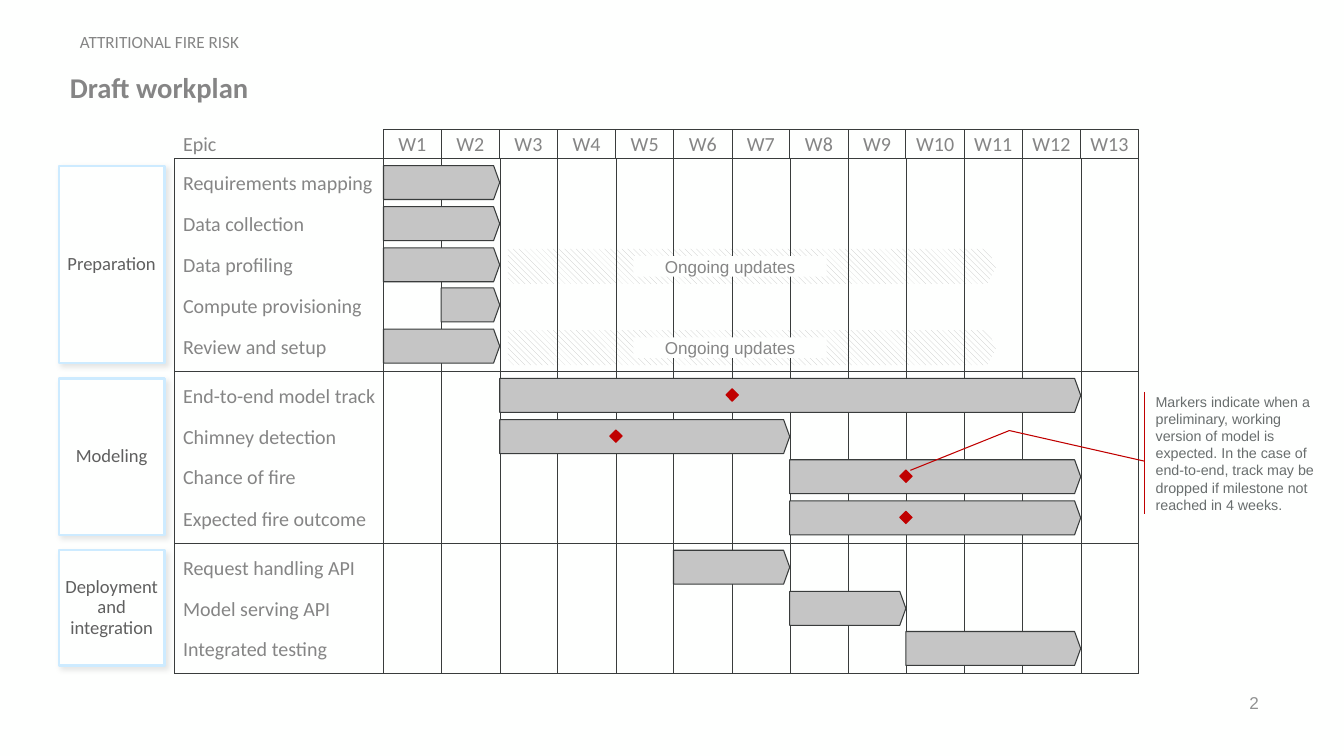
from pptx import Presentation
from pptx.dml.color import RGBColor
from pptx.enum.dml import MSO_PATTERN
from pptx.enum.shapes import MSO_CONNECTOR, MSO_SHAPE
from pptx.enum.text import MSO_ANCHOR, PP_ALIGN
from pptx.oxml.ns import qn
from pptx.util import Pt
from lxml.etree import SubElement

PX = 9144
COLORS = {"paper": "FEFFFE", "text": "858585", "phase": "5F5F5F", "note": "696E6E",
          "page": "919292", "grid": "393C3C", "bar": "C5C5C5", "mark": "C00000",
          "edge": "CDEBFF", "shadow": "000000"}
WEEKS = 13
BAR = 33
GAP = 7
# task, first week, last week, milestone week, has ongoing updates
PHASES = [
    ("Preparation", [
        ("Requirements mapping", 0, 2, None, False),
        ("Data collection", 0, 2, None, False),
        ("Data profiling", 0, 2, None, True),
        ("Compute provisioning", 1, 2, None, False),
        ("Review and setup", 0, 2, None, True)]),
    ("Modeling", [
        ("End-to-end model track", 2, 12, 6, False),
        ("Chimney detection", 2, 7, 4, False),
        ("Chance of fire", 7, 12, 9, False),
        ("Expected fire outcome", 7, 12, 9, False)]),
    ("Deployment and integration", [
        ("Request handling API", 5, 7, None, False),
        ("Model serving API", 7, 9, None, False),
        ("Integrated testing", 9, 12, None, False)]),
]
NOTE = ("Markers indicate when a preliminary, working version of model is expected. "
        "In the case of end-to-end, track may be dropped if milestone not reached in 4 weeks.")


def rgb(name):
    """Return the named colour."""
    return RGBColor.from_string(COLORS[name])


def emu(*lengths):
    """Turn px lengths into EMU."""
    return [v * PX for v in lengths]


def apply(obj, values):
    """Set each attribute in the dict on the object."""
    for name, value in values.items():
        setattr(obj, name, value)


def write(sp, text, size=14, color="text", font="Calibri", bold=False,
          align=PP_ALIGN.LEFT, anchor=MSO_ANCHOR.TOP, inset=(0, 0), spacing=1.0):
    """Put one formatted paragraph into a shape."""
    dx, dy = emu(*inset)
    tf = sp.text_frame
    apply(tf, {"word_wrap": True, "vertical_anchor": anchor, "margin_left": dx,
               "margin_right": dx, "margin_top": dy, "margin_bottom": dy})
    p = tf.paragraphs[0]
    apply(p, {"alignment": align, "line_spacing": spacing})
    r = p.add_run()
    r.text = text
    apply(r.font, {"size": Pt(size), "name": font, "bold": bold})
    r.font.color.rgb = rgb(color)


def add_text(s, box, text, **fmt):
    """Add a text box."""
    write(s.shapes.add_textbox(*emu(*box)), text, **fmt)


def add_shape(s, kind, box, fill=None, line=None, width=0.75, adj=()):
    """Add a flat preset shape."""
    sp = s.shapes.add_shape(kind, *emu(*box))
    sp.shadow.inherit = False
    if fill:
        sp.fill.solid()
        sp.fill.fore_color.rgb = rgb(fill)
    else:
        sp.fill.background()
    if line:
        sp.line.color.rgb = rgb(line)
        sp.line.width = Pt(width)
    else:
        sp.line.fill.background()
    for i, value in enumerate(adj):
        sp.adjustments[i] = value
    return sp


def add_line(s, x1, y1, x2, y2, width):
    """Add a grid line."""
    c = s.shapes.add_connector(MSO_CONNECTOR.STRAIGHT, *emu(x1, y1, x2, y2))
    c.line.color.rgb = rgb("grid")
    c.line.width = Pt(width)
    SubElement(c._element.spPr, qn("a:effectLst"))


def add_heading(s, box):
    """Place the title and the section name above it."""
    x, y, w, h = box
    title = s.shapes.title
    apply(title, dict(zip(("left", "top", "width", "height"), emu(x, y + 45, w, 34))))
    write(title, "Draft workplan", size=20, bold=True)
    add_text(s, (x, y, w, 35), "ATTRITIONAL FIRE RISK", size=12,
             anchor=MSO_ANCHOR.MIDDLE, inset=(10, 5))


def add_phase(s, box, name):
    """Place a phase box with a soft shadow."""
    sp = add_shape(s, MSO_SHAPE.RECTANGLE, box, "paper", "edge", 1.5)
    shadow = SubElement(sp._element.spPr.find(qn("a:effectLst")), qn("a:outerShdw"),
                        blurRad=str(Pt(4)), dist=str(Pt(3)), dir="2700000",
                        algn="tl", rotWithShape="0")
    color = SubElement(shadow, qn("a:srgbClr"), val=COLORS["shadow"])
    SubElement(color, qn("a:alpha"), val="10000")
    write(sp, name, size=13, color="phase", align=PP_ALIGN.CENTER,
          anchor=MSO_ANCHOR.MIDDLE, spacing=0.9)


def add_hatch(s, box):
    """Place a hatched arrow for ongoing work."""
    sp = add_shape(s, MSO_SHAPE.PENTAGON, box, adj=[0.26])
    sp.fill.patterned()
    sp.fill.pattern = MSO_PATTERN.WIDE_DOWNWARD_DIAGONAL
    sp.fill.fore_color.rgb = rgb("bar")
    sp.fill.back_color.rgb = rgb("paper")


def add_gantt(s, box):
    """Place the phases, the week grid and the task bars."""
    x, y, w, h = box
    left, head, right, bottom = x + 203, y + 28, x + w, y + h
    cols = [left + round((right - left) * i / WEEKS) for i in range(WEEKS + 1)]
    rows, bands, top = [], [], head
    for name, tasks in PHASES:
        band = 40 * len(tasks) + GAP
        step = (band - 2 * GAP - 1 - BAR) / (len(tasks) - 1)
        rows += [(top + GAP + round(i * step), *task) for i, task in enumerate(tasks)]
        bands.append((name, top, band))
        top += band

    updates = [row for row, *_, ongoing in rows if ongoing]
    for row in updates:
        add_hatch(s, (cols[2] + 8, row + 1, 475, 34))
    for i, (a, b) in enumerate(zip(cols, cols[1:]), 1):
        cell = add_shape(s, MSO_SHAPE.RECTANGLE, (a, y, b - a, head - y), line="grid")
        write(cell, f"W{i}", align=PP_ALIGN.CENTER, anchor=MSO_ANCHOR.MIDDLE, inset=(0, 3))
    for cx in [x] + cols:
        add_line(s, cx, head, cx, bottom, 0.75 if cx in (x, left, right) else 0.25)
    for cy in [band_top for _, band_top, _ in bands] + [bottom]:
        add_line(s, x, cy, right, cy, 0.75 if cy in (head, bottom) else 0.25)

    add_text(s, (x + 8, y + 2, 195, 23), "Epic", anchor=MSO_ANCHOR.BOTTOM)
    for row, task, start, end, mark, _ in rows:
        add_text(s, (x + 8, row + 5, 195, 23), task)
        add_shape(s, MSO_SHAPE.PENTAGON, (cols[start], row, cols[end] - cols[start], BAR),
                  "bar", "grid", adj=[0.18])
        if mark:
            add_shape(s, MSO_SHAPE.DIAMOND, (cols[mark] - 6, row + 10, 12, 12), "mark", "mark")
    for name, band_top, band in bands:
        add_phase(s, (x - 113, band_top + GAP, 103, band - 2 * GAP - 1), name)
    for row in updates:
        label = add_shape(s, MSO_SHAPE.RECTANGLE, (cols[4] + 17, row + 8, 188, 20), "paper")
        write(label, "Ongoing updates", size=12, font="Arial", align=PP_ALIGN.CENTER)


def add_note(s, box):
    """Place the callout that explains the markers."""
    sp = add_shape(s, MSO_SHAPE.LINE_CALLOUT_2_ACCENT_BAR, box, line="mark",
                   adj=[0.566, -0.007, 0.316, -0.757, 0.641, -1.307])
    write(sp, NOTE, size=10, color="note", font="Arial", anchor=MSO_ANCHOR.MIDDLE,
          inset=(10, 5))


def main():
    """Build and save the workplan slide."""
    prs = Presentation()
    prs.slide_width, prs.slide_height = emu(1307, 735)
    s = prs.slides.add_slide(prs.slide_layouts[5])
    s.background.fill.solid()
    s.background.fill.fore_color.rgb = rgb("paper")
    add_heading(s, (68, 23, 1166, 79))
    add_gantt(s, (170, 126, 937, 529))
    add_note(s, (1114, 381, 175, 119))
    add_text(s, (934, 663, 300, 40), "2", size=12, color="page", font="Arial",
             align=PP_ALIGN.RIGHT, anchor=MSO_ANCHOR.MIDDLE, inset=(10, 5))
    prs.save("out.pptx")


if __name__ == "__main__":
    main()
